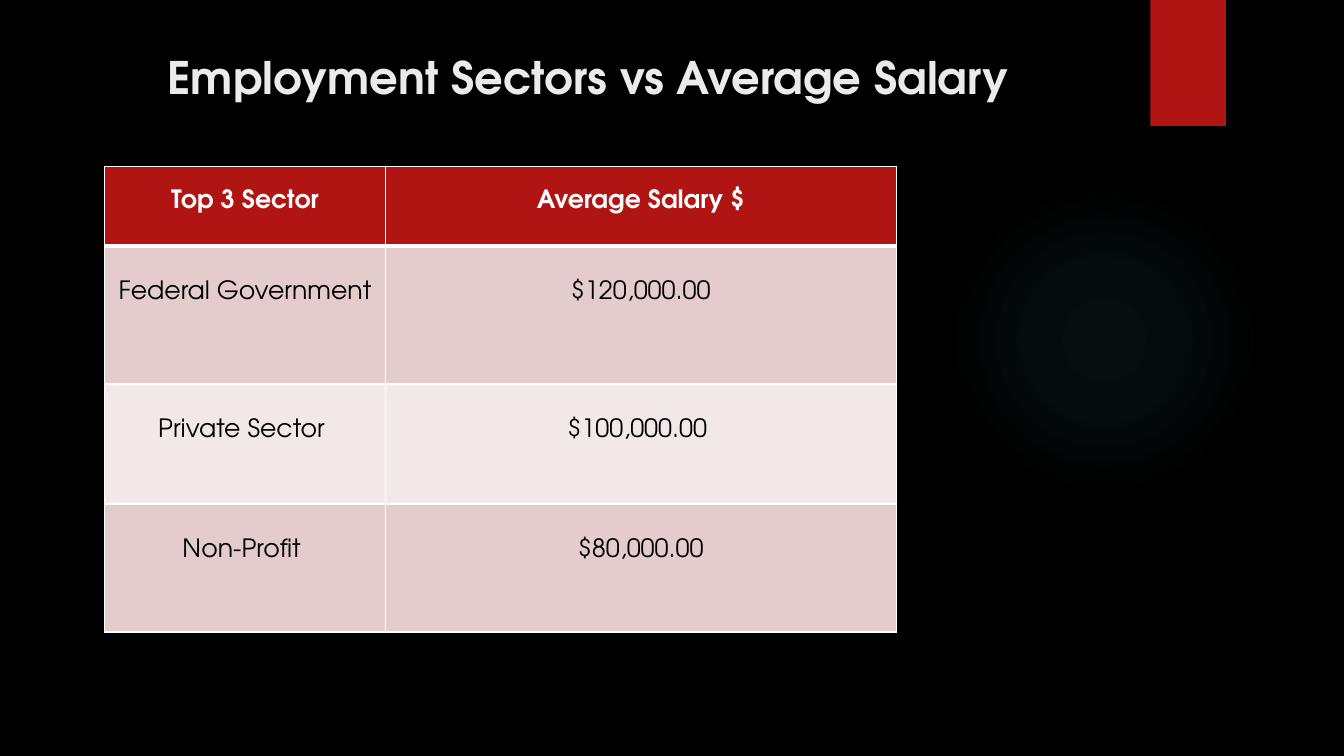
import dataclasses

import pptx
import pptx.dml.color
import pptx.enum.shapes
import pptx.enum.text
import pptx.oxml
import pptx.oxml.ns
import pptx.util
from pptx.util import Inches

FONT = "TeX Gyre Adventor"
RED = "B01513"
WHITE = "FFFFFF"
GLOW = "50B9C1"


@dataclasses.dataclass
class Row:
    sector: str
    salary: str
    height: float
    fill: str
    color: str = "000000"
    bold: bool = False
    spacing: float = 2.5
    bottom_line: float = 1


ROWS = [
    Row("Top 3 Sector", "Average Salary $", 0.79, RED, WHITE, True, 2.0, 3),
    Row("Federal Government", "$120,000.00", 1.37, "E4CCCC"),
    Row("Private Sector ", "$100,000.00 ", 1.19, "F2E8E7"),
    Row("Non-Profit ", "$80,000.00", 1.27, "E4CCCC"),
]
COLUMNS = [2.78, 5.07]


def rgb(color: str) -> pptx.dml.color.RGBColor:
    return pptx.dml.color.RGBColor.from_string(color)


def xml(tag: str, content: str, attrs: str = ""):
    ns = pptx.oxml.ns.nsdecls("a")
    return pptx.oxml.parse_xml(f"<a:{tag} {ns} {attrs}>{content}</a:{tag}>")


def add_text(tf, text: str, size: float, color: str, bold: bool, spacing: float = 1.0) -> None:
    p = tf.paragraphs[0]
    p.alignment = pptx.enum.text.PP_ALIGN.CENTER
    p.line_spacing = spacing
    r = p.add_run()
    r.text = text
    r.font.name = FONT
    r.font.size = pptx.util.Pt(size)
    r.font.bold = bold
    r.font.color.rgb = rgb(color)


def add_shape(s, kind, left: float, top: float, width: float, height: float):
    sp = s.shapes.add_shape(kind, Inches(left), Inches(top), Inches(width), Inches(height))
    sp.shadow.inherit = False
    sp.line.fill.background()
    return sp


def add_glow(s) -> None:
    sp = add_shape(s, pptx.enum.shapes.MSO_SHAPE.OVAL, 9.41, 1.83, 3.08, 3.08)
    stops = "".join(
        f'<a:gs pos="{pos * 1000}"><a:srgbClr val="{GLOW}">'
        f'<a:alpha val="{alpha * 1000}"/></a:srgbClr></a:gs>'
        for pos, alpha in [(0, 7), (36, 6), (69, 0)]
    )
    center = '<a:fillToRect l="50000" t="50000" r="50000" b="50000"/>'
    fill = xml("gradFill", f'<a:gsLst>{stops}</a:gsLst><a:path path="circle">{center}</a:path>')
    sp._element.spPr.find(pptx.oxml.ns.qn("a:prstGeom")).addnext(fill)


def add_ribbon(s) -> None:
    sp = add_shape(s, pptx.enum.shapes.MSO_SHAPE.RECTANGLE, 11.41, 0, 0.75, 1.25)
    sp.fill.solid()
    sp.fill.fore_color.rgb = rgb(RED)
    effects = sp._element.spPr.find(pptx.oxml.ns.qn("a:effectLst"))
    effects.append(xml(
        "outerShdw",
        '<a:srgbClr val="000000"><a:alpha val="45000"/></a:srgbClr>',
        'blurRad="38100" dist="25400" dir="5400000" rotWithShape="0"',
    ))


def set_title(s, text: str) -> None:
    sp = s.shapes.title
    sp.left, sp.top, sp.width, sp.height = map(Inches, (0.69, 0.44, 10.29, 1.53))
    tf = sp.text_frame
    tf.word_wrap = True
    tf.vertical_anchor = pptx.enum.text.MSO_ANCHOR.TOP
    add_text(tf, text, 32, "EBEBEB", True)


def set_borders(cell, top: float, bottom: float) -> None:
    tcPr = cell._tc.get_or_add_tcPr()
    widths = {"lnL": 1, "lnR": 1, "lnT": top, "lnB": bottom}
    for i, (side, width) in enumerate(widths.items()):
        line = f'<a:solidFill><a:srgbClr val="{WHITE}"/></a:solidFill>'
        tcPr.insert(i, xml(side, line, f'w="{pptx.util.Pt(width)}"'))


def add_salary_table(s) -> None:
    width, height = sum(COLUMNS), sum(row.height for row in ROWS)
    table = s.shapes.add_table(
        len(ROWS), len(COLUMNS), Inches(1.04), Inches(1.65), Inches(width), Inches(height)
    ).table
    for column, column_width in zip(table.columns, COLUMNS):
        column.width = Inches(column_width)
    top_line = 1.0
    for i, row in enumerate(ROWS):
        table.rows[i].height = Inches(row.height)
        for j, text in enumerate((row.sector, row.salary)):
            cell = table.cell(i, j)
            cell.margin_top = cell.margin_bottom = 0
            cell.fill.solid()
            cell.fill.fore_color.rgb = rgb(row.fill)
            set_borders(cell, top_line, row.bottom_line)
            add_text(cell.text_frame, text, 18, row.color, row.bold, row.spacing)
        top_line = row.bottom_line


def main() -> None:
    prs = pptx.Presentation()
    prs.slide_width, prs.slide_height = Inches(13.33), Inches(7.5)
    s = prs.slides.add_slide(prs.slide_layouts[5])
    s.background.fill.solid()
    s.background.fill.fore_color.rgb = rgb("000000")

    # Backdrop
    add_glow(s)
    add_ribbon(s)

    # Title and table
    set_title(s, "Employment Sectors vs Average Salary")
    add_salary_table(s)
    prs.save("out.pptx")


if __name__ == "__main__":
    main()
